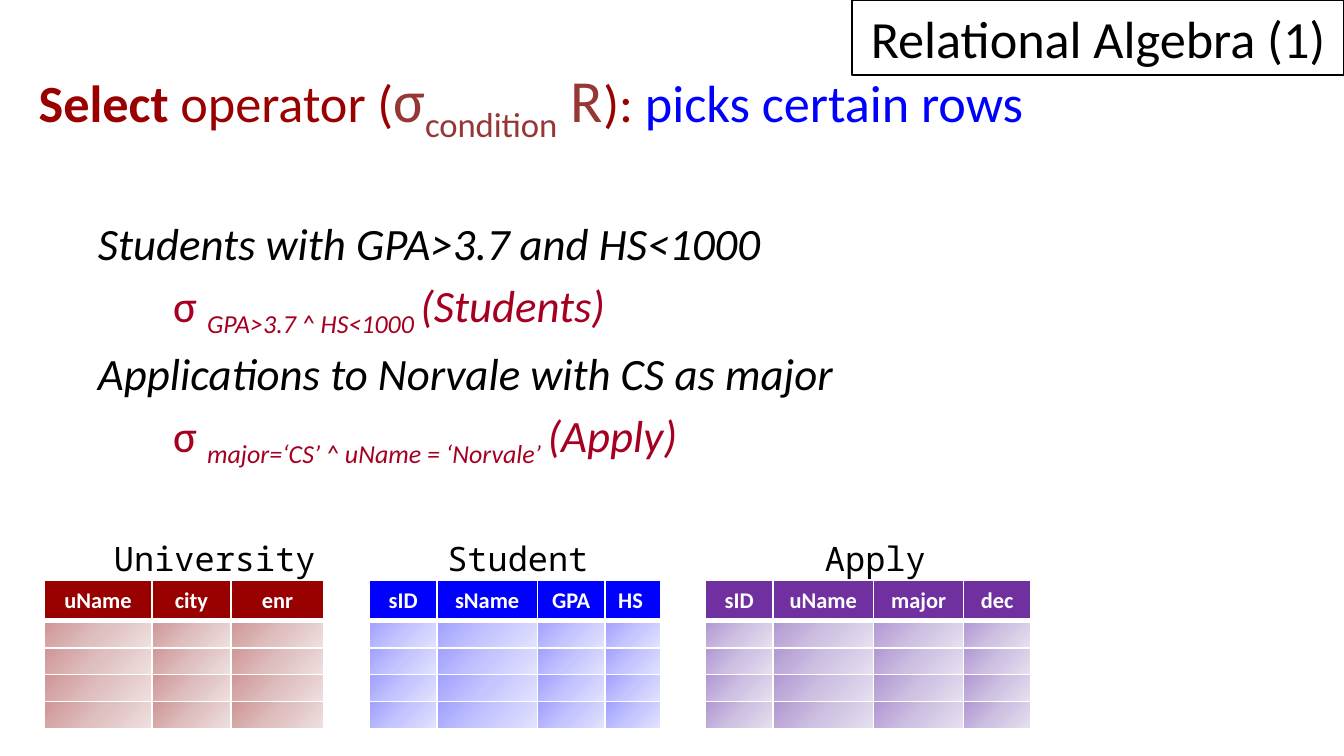
from lxml import etree
from pptx import Presentation
from pptx.dml.color import RGBColor
from pptx.enum import shapes, text
from pptx.oxml import ns
from pptx.util import Pt

HUES = {"black": "000000", "white": "FFFFFF", "red": "990000", "brown": "953735",
        "blue": "0000FF", "wine": "A50021", "violet": "7030A0"}
SANS, MONO = "Calibri", "Noto Sans Mono"
TITLE = "Relational Algebra (1)"

# Each run: words, size, colour, style (b bold, i italic, s subscript)
HEAD = [("Select ", 28, "red", "b"), ("operator (", 28, "red", ""),
        ("σ", 32, "brown", ""), ("condition", 32, "brown", "s"),
        (" R", 32, "brown", ""), ("): ", 28, "red", ""),
        ("picks certain rows", 28, "blue", "")]
QUERIES = [
    ("Students with GPA>3.7 and HS<1000", "GPA>3.7 ^ HS<1000 ", "(Students)"),
    ("Applications to Norvale with CS as major",
     "major=‘CS’ ^ uName = ‘Norvale’ ", "(Apply)"),
]

# Label, label left and width, table left, hue, gradient stops, columns
TABLES = [
    ("University", 54, 124.56, 23.76, "red", ("CF9595", "DFBFBF", "EFE0E0"),
     {"uName": 57.6, "city": 42.48, "enr": 49.68}),
    ("Student", 232.56, 91.44, 198, "blue", ("A0A0FF", "C5C5FF", "E3E3FF"),
     {"sID": 36, "sName": 54, "GPA": 36, "HS": 30.24}),
    ("Apply", 434.88, 69.12, 378, "violet", ("B197D2", "CEC1E2", "E7E1F0"),
     {"sID": 36, "uName": 54, "major": 48.24, "dec": 36}),
]
TOP, HEAD_H, ROW_H, ROWS = 311.04, 21.6, 14.4, 4


def add_run(para, words, size, hue, style="", face=SANS):
    """Add one styled run to a paragraph."""
    run = para.add_run()
    run.text = words
    font = run.font
    font.name, font.size = face, Pt(size)
    font.bold, font.italic = "b" in style, "i" in style
    font.color.rgb = RGBColor.from_string(HUES[hue])
    if "s" in style:
        font._element.set("baseline", "-25000")


def add_para(frame, runs, left, indent, before, after):
    """Add a paragraph of runs with its indents and spacing."""
    para = frame.paragraphs[0]
    if para.runs:
        para = frame.add_paragraph()
    props = para._p.get_or_add_pPr()
    props.set("marL", str(Pt(left)))
    props.set("indent", str(Pt(indent)))
    para.space_before, para.space_after = Pt(before), Pt(after)
    for run in runs:
        add_run(para, *run)


def add_body(slide):
    """Write the heading and the example queries."""
    box = slide.shapes.add_textbox(Pt(6.48), Pt(30.24), Pt(637.92), Pt(263.52))
    frame = box.text_frame
    frame.word_wrap = True
    add_para(frame, HEAD, 47.52, -40.32, 3, 3)
    for i, (ask, test, name) in enumerate(QUERIES):
        add_para(frame, [(ask, 24, "black", "i")], 79.2, -40.32, 2 if i else 35.3, 2)
        rule = [("σ ", 24, "wine", ""), (test, 24, "wine", "is"), (name, 24, "wine", "i")]
        add_para(frame, rule, 79.2, 0, 2, 2)


def add_edges(cell, top, bottom):
    """Draw white borders around a cell."""
    for side, width in zip("LRTB", (1, 1, top, bottom)):
        line = etree.SubElement(cell._tc.get_or_add_tcPr(), ns.qn("a:ln" + side),
                                w=str(Pt(width)))
        fill = etree.SubElement(line, ns.qn("a:solidFill"))
        etree.SubElement(fill, ns.qn("a:srgbClr"), val=HUES["white"])


def add_blend(cell, stops):
    """Fill a cell with a diagonal three-stop gradient."""
    grad = etree.SubElement(cell._tc.get_or_add_tcPr(), ns.qn("a:gradFill"))
    marks = etree.SubElement(grad, ns.qn("a:gsLst"))
    for pos, hue in zip((0, 50000, 100000), stops):
        stop = etree.SubElement(marks, ns.qn("a:gs"), pos=str(pos))
        etree.SubElement(stop, ns.qn("a:srgbClr"), val=hue)
    etree.SubElement(grad, ns.qn("a:lin"), ang="2700000", scaled="1")


def add_grid(slide, left, hue, stops, cols):
    """Add one table: a solid header over empty gradient rows."""
    grid = slide.shapes.add_table(ROWS + 1, len(cols), Pt(left), Pt(TOP),
                                  Pt(sum(cols.values())),
                                  Pt(HEAD_H + ROWS * ROW_H)).table
    for r, row in enumerate(grid.rows):
        row.height = Pt(ROW_H if r else HEAD_H)
        for c, (name, width) in enumerate(cols.items()):
            grid.columns[c].width = Pt(width)
            cell = grid.cell(r, c)
            cell.margin_top = cell.margin_bottom = Pt(0 if r else 3)
            cell.vertical_anchor = text.MSO_ANCHOR.MIDDLE
            add_edges(cell, 3 if r == 1 else 1, 1 if r else 3)
            para = cell.text_frame.paragraphs[0]
            if r:
                add_blend(cell, stops)
                para._p.get_or_add_endParaRPr().set("sz", "1000")
            else:
                cell.fill.solid()
                cell.fill.fore_color.rgb = RGBColor.from_string(HUES[hue])
                add_run(para, name, 12, "white", "b")
                if name != "HS":
                    para.alignment = text.PP_ALIGN.CENTER


def add_label(slide, words, left, width):
    """Put a table's name above it."""
    box = slide.shapes.add_textbox(Pt(left), Pt(284.4), Pt(width), Pt(28.8))
    box.text_frame.word_wrap = False
    box.text_frame.auto_size = text.MSO_AUTO_SIZE.SHAPE_TO_FIT_TEXT
    add_run(box.text_frame.paragraphs[0], words, 18, "black", face=MONO)


def add_title(slide):
    """Add the framed title in the top right corner."""
    box = slide.shapes.add_shape(shapes.MSO_SHAPE.RECTANGLE, Pt(456.48), Pt(0),
                                 Pt(263.52), Pt(40.32))
    box.shadow.inherit = False
    box.fill.background()
    box.line.color.rgb = RGBColor.from_string(HUES["black"])
    box.line.width = Pt(0.75)
    box.text_frame.vertical_anchor = text.MSO_ANCHOR.BOTTOM
    para = box.text_frame.paragraphs[0]
    para.alignment = text.PP_ALIGN.CENTER
    add_run(para, TITLE, 28, "black")


deck = Presentation()
deck.slide_width, deck.slide_height = Pt(720), Pt(405)
slide = deck.slides.add_slide(deck.slide_layouts[6])
add_body(slide)
for label, x, width, left, hue, stops, cols in TABLES:
    add_grid(slide, left, hue, stops, cols)
    add_label(slide, label, x, width)
add_title(slide)
deck.save("out.pptx")
